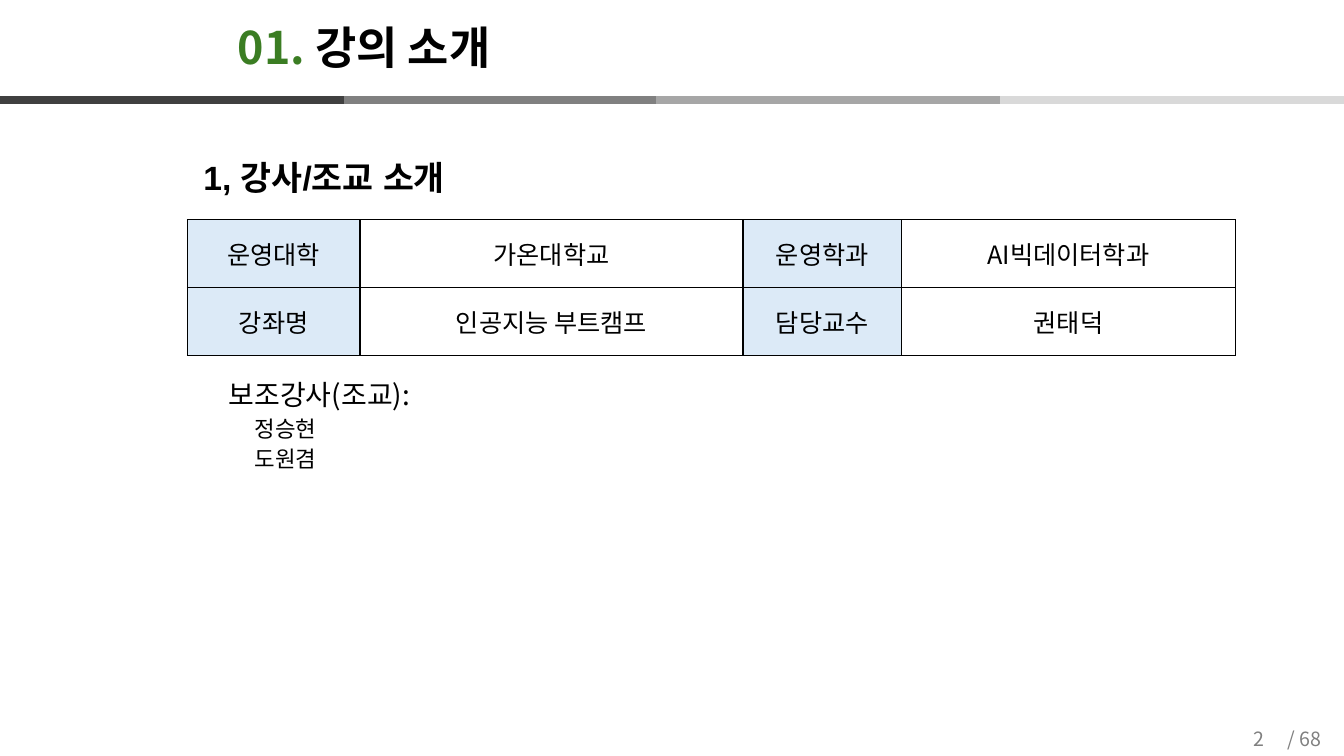
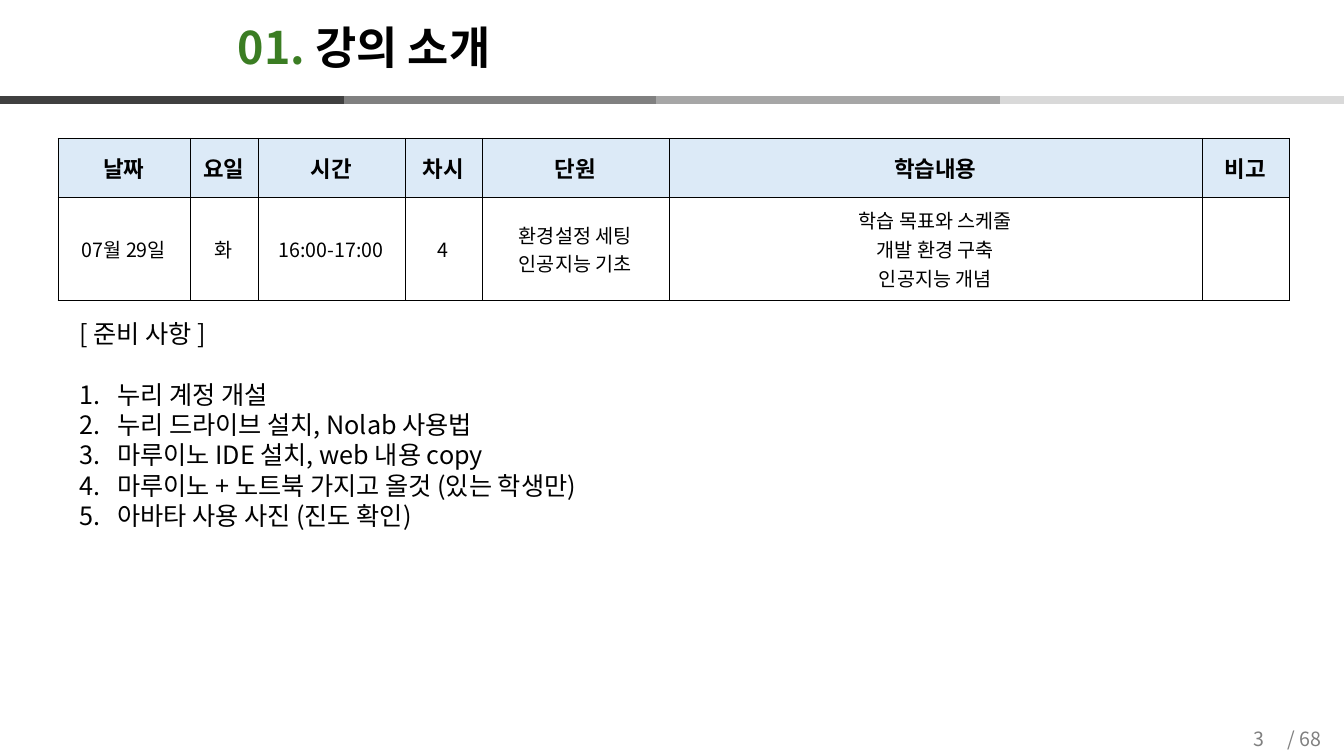
from lxml import etree
from pptx import Presentation
from pptx.dml.color import RGBColor
from pptx.enum import shapes as sh, text as tx
from pptx.oxml.ns import qn
from pptx.util import Pt

# Shared look
HUE = dict(ink="000000", green="3B7D23", gray="808080", head="DCEAF7", cell="FFFFFF")
BAND = ["404040", "808080", "A6A6A6", "D9D9D9"]
EDGES = [0, 245.5, 468.7, 714.2, 960]
SANS = "Noto Sans CJK KR"
MID = tx.MSO_ANCHOR.MIDDLE
CENTER = tx.PP_ALIGN.CENTER

# Content
TITLE = ("01. ", "강의 소개")
TOTAL = "/ 68"
INTRO = "1, 강사/조교 소개"
COURSE = [
    ["운영대학", "가온대학교", "운영학과", "AI빅데이터학과"],
    ["강좌명", "인공지능 부트캠프", "담당교수", "권태덕"],
]
HELPERS = ["보조강사(조교):", "정승현", "도원겸"]
PLAN = [
    ["날짜", "요일", "시간", "차시", "단원", "학습내용", "비고"],
    ["07월 29일", "화", "16:00-17:00", "4", "환경설정 세팅\n인공지능 기초",
     "학습 목표와 스케줄\n개발 환경 구축\n인공지능 개념", ""],
]
NEEDS = "[ 준비 사항 ]"
TASKS = [
    "누리 계정 개설",
    "누리 드라이브 설치, Nolab 사용법",
    "마루이노 IDE 설치, web 내용 copy",
    "마루이노 + 노트북 가지고 올것 (있는 학생만)",
    "아바타 사용 사진 (진도 확인)",
]


def rgb(name):
    return RGBColor.from_string(HUE.get(name, name))


def style(para, size, color="ink", bold=False, face=SANS):
    font = para.font
    font.size, font.bold, font.name = Pt(size), bold, face
    font.color.rgb = rgb(color)
    props = para._p.pPr.find(qn("a:defRPr"))
    etree.SubElement(props, qn("a:ea")).set("typeface", face)


def indent(para, left, hang=0):
    props = para._p.get_or_add_pPr()
    props.set("marL", str(Pt(left)))
    props.set("indent", str(-Pt(hang)))
    return props


def box(slide, left, top, width, height, lines, anchor=tx.MSO_ANCHOR.TOP):
    frame = slide.shapes.add_textbox(Pt(left), Pt(top), Pt(width), Pt(height)).text_frame
    frame.word_wrap = True
    frame.vertical_anchor = anchor
    frame.text = "\n".join(lines)
    return frame.paragraphs


def border(cell, weight):
    props = cell._tc.get_or_add_tcPr()
    for i, side in enumerate(("lnL", "lnR", "lnT", "lnB")):
        line = etree.Element(qn("a:" + side), w=str(Pt(weight)))
        fill = etree.SubElement(line, qn("a:solidFill"))
        etree.SubElement(fill, qn("a:srgbClr"), val=HUE["ink"])
        props.insert(i, line)


def grid(slide, left, top, cols, rows, data, weight, look):
    """Draw a table; look(row, col) gives size, bold and whether it is a heading."""
    table = slide.shapes.add_table(len(rows), len(cols), Pt(left), Pt(top),
                                   Pt(sum(cols)), Pt(sum(rows))).table
    table.first_row = table.horz_banding = False
    for col, width in zip(table.columns, cols):
        col.width = Pt(width)
    for r, (row, height) in enumerate(zip(data, rows)):
        table.rows[r].height = Pt(height)
        for c, words in enumerate(row):
            size, bold, head = look(r, c)
            cell = table.cell(r, c)
            cell.margin_left = cell.margin_right = Pt(0)
            cell.margin_top = cell.margin_bottom = Pt(0)
            cell.vertical_anchor = MID
            cell.fill.solid()
            cell.fill.fore_color.rgb = rgb("head" if head else "cell")
            border(cell, weight)
            cell.text = words
            for para in cell.text_frame.paragraphs:
                para.alignment = CENTER
                style(para, size, bold=bold)


def page(deck, number):
    """Add a slide with the band, title and page number."""
    slide = deck.slides.add_slide(deck.slide_layouts[6])
    for start, end, color in zip(EDGES, EDGES[1:], BAND):
        line = slide.shapes.add_connector(sh.MSO_CONNECTOR.STRAIGHT,
                                          Pt(start), Pt(71.3), Pt(end), Pt(71.3))
        line.line.width = Pt(6)
        line.line.color.rgb = rgb(color)
        etree.SubElement(line._element.spPr, qn("a:effectLst"))
    for left, words in ((904, TOTAL), (871, str(number))):
        para = box(slide, left, 515, 56, 25, [words], MID)[0]
        para.alignment = CENTER
        style(para, 14, "gray")
    para = box(slide, 162.7, 14.4, 629, 43, [""], MID)[0]
    para.line_spacing = 0.9
    style(para, 32, bold=True)
    for words, color in zip(TITLE, ("green", "ink")):
        run = para.add_run()
        run.text = words
        run.font.color.rgb = rgb(color)
    return slide


def intro(deck):
    slide = page(deck, 2)
    para = box(slide, 138.2, 94.3, 663, 50, [INTRO])[0]
    para.line_spacing = 1.5
    style(para, 24, bold=True, face="Arial")
    grid(slide, 133.9, 157, [123.2, 273.6, 113.2, 238.6], [48.5, 48.5], COURSE, 1,
         lambda r, c: (18, False, c % 2 == 0))
    for i, para in enumerate(box(slide, 138.2, 269, 663, 90, HELPERS)):
        indent(para, 36.7 if i else 18)
        para.line_spacing = 0.9
        para.space_before = Pt(4.5 if i else 0)
        style(para, 16 if i else 20)


def plan(deck):
    slide = page(deck, 3)
    grid(slide, 41.3, 98.6, [94.4, 48.4, 105, 55.2, 133.4, 381, 62], [42.3, 73.8],
         PLAN, 0.25, lambda r, c: (14 if r else 16, r == 0, r == 0))
    pitch = 21.7
    for i, para in enumerate(box(slide, 49.5, 223.5, 500, 159, [NEEDS] + TASKS)):
        para.line_spacing = Pt(pitch)
        if i == 1:
            para.space_before = Pt(pitch)
        if i:
            props = indent(para, 27, 27)
            etree.SubElement(props, qn("a:buFont")).set("typeface", "+mj-lt")
            etree.SubElement(props, qn("a:buAutoNum")).set("type", "arabicPeriod")
        style(para, 18)


def main():
    deck = Presentation()
    deck.slide_width, deck.slide_height = Pt(960), Pt(540)
    intro(deck)
    plan(deck)
    deck.save("out.pptx")


if __name__ == "__main__":
    main()
